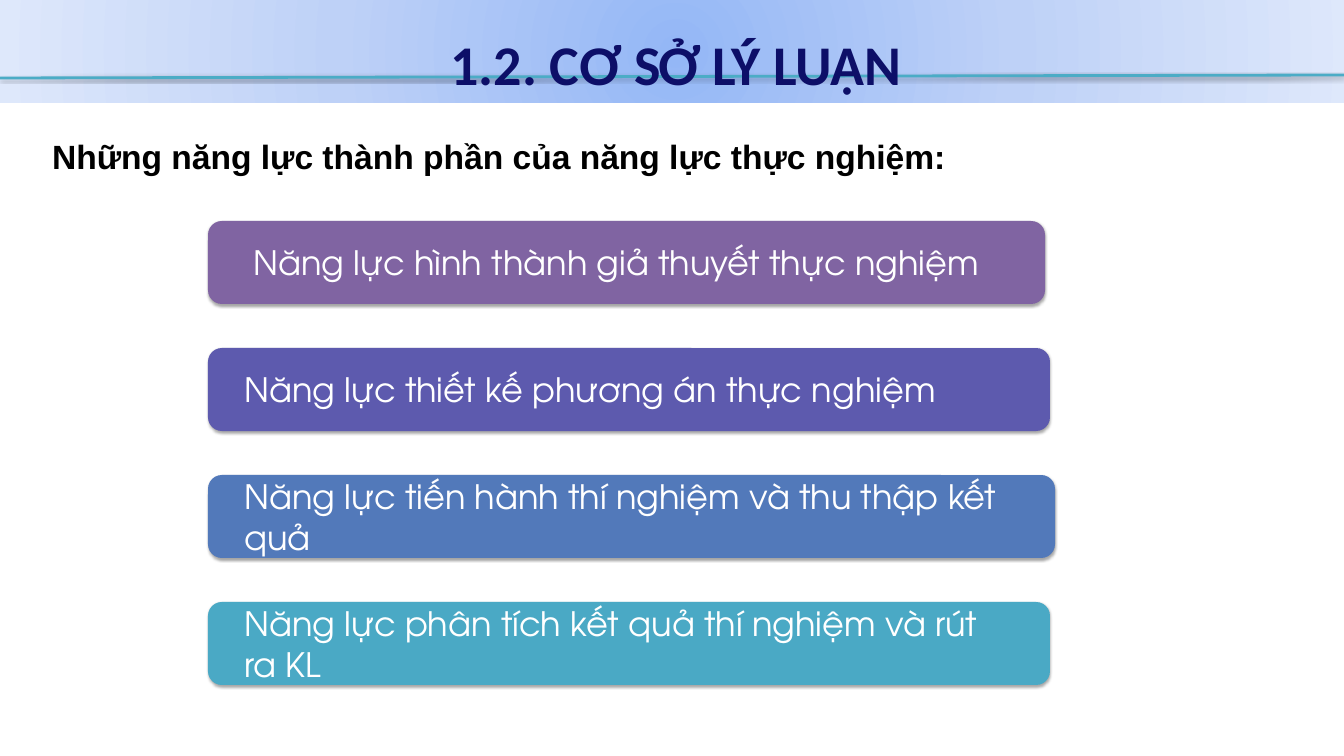
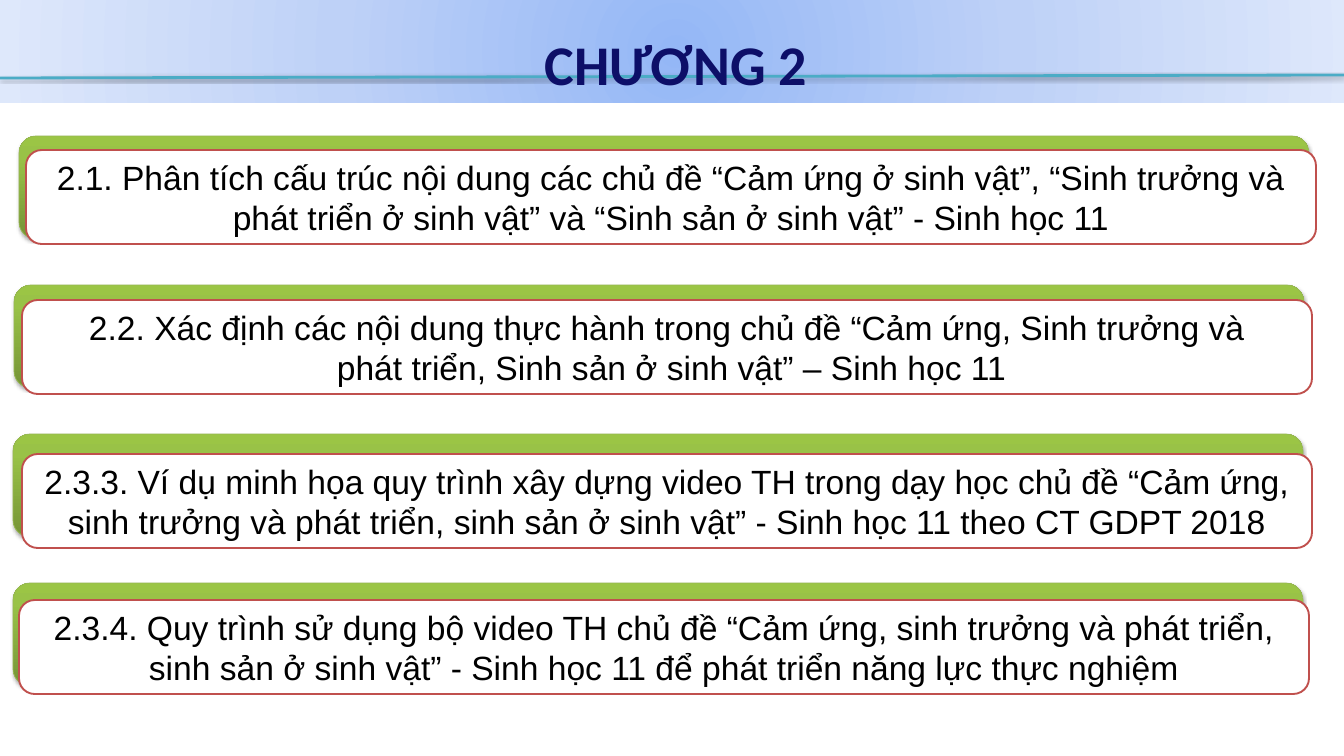
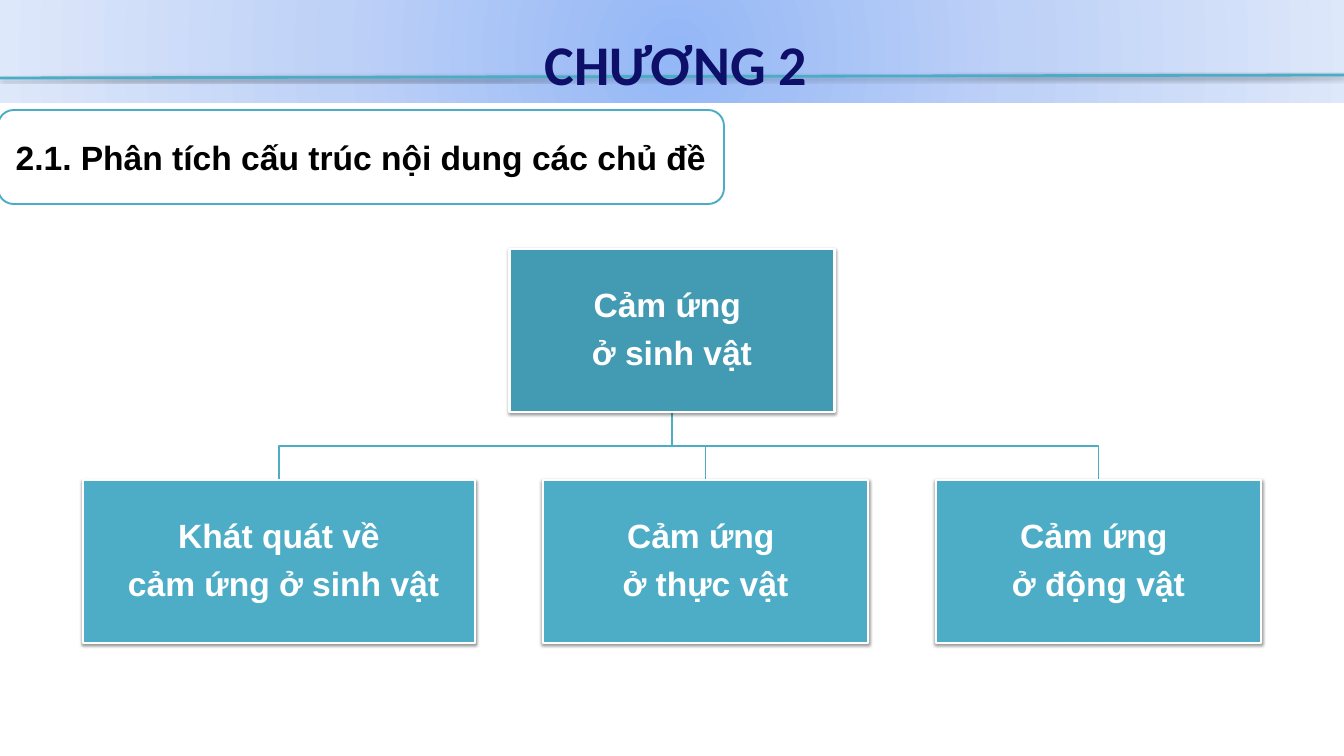
from lxml.etree import SubElement
from pptx import Presentation
from pptx.dml.color import RGBColor
from pptx.enum.shapes import MSO_CONNECTOR, MSO_SHAPE
from pptx.enum.text import MSO_ANCHOR, MSO_AUTO_SIZE, PP_ALIGN
from pptx.oxml.ns import qn
from pptx.util import Emu, Pt

W, H = 1344, 756
EMU_PER_PX = 914400 / 67.2

C = {
    "white": "FFFFFF", "black": "000000", "title": "0D0F68",
    "rule": "4BACC6", "root": "429BB2", "node": "4DADC7",
    "card_line": "C0504D", "back_line": "97B853",
}
BAND_STOPS = [(0, "94B7F6"), (50, "BED1F7"), (100, "DEE8FB")]
BACK_STOPS = [(0, "759336"), (80, "99C247"), (100, "9BC545")]
SOFT = {"alpha": 35, "dist": 1.8}
NODE_SHADOW = {"alpha": 38, "dist": 1.6}

THEORY_TITLE = "1.2. CƠ SỞ LÝ LUẬN"
THEORY_LEAD = "Những năng lực thành phần của năng lực thực nghiệm:"
SKILLS = [
    (" Năng lực hình thành giả thuyết thực nghiệm", 837, "8064A2"),
    ("Năng lực thiết kế phương án thực nghiệm", 842, "5D5AAE"),
    ("Năng lực tiến hành thí nghiệm và thu thập kết quả", 847, "5279BA"),
    ("Năng lực phân tích kết quả thí nghiệm và rút ra KL", 842, "4AA9C5"),
]

CHAPTER_TITLE = "CHƯƠNG 2"
SECTIONS = [
    (19, 26, 150, ["2.1. Phân tích cấu trúc nội dung các chủ đề “Cảm ứng ở sinh vật”, “Sinh trưởng và "
                   "phát triển ở sinh vật” và “Sinh sản ở sinh vật” - Sinh học 11"]),
    (14, 22, 300, ["2.2. Xác định các nội dung thực hành trong chủ đề “Cảm ứng, Sinh trưởng và",
                   " phát triển, Sinh sản ở sinh vật” – Sinh học 11"]),
    (13, 22, 454, ["2.3.3. Ví dụ minh họa quy trình xây dựng video TH trong dạy học chủ đề “Cảm ứng, "
                   "sinh trưởng và phát triển, sinh sản ở sinh vật” - Sinh học 11 theo CT GDPT 2018"]),
    (13, 19, 600, ["2.3.4. Quy trình sử dụng bộ video TH chủ đề “Cảm ứng, sinh trưởng và phát triển, "
                   "sinh sản ở sinh vật” - Sinh học 11 để phát triển năng lực thực nghiệm"]),
]

TOPIC_HEADING = "2.1. Phân tích cấu trúc nội dung các chủ đề"
ROOT = ["Cảm ứng ", "ở sinh vật"]
BRANCHES = [
    (392, ["Khát quát về", " cảm ứng ở sinh vật"]),
    (325, ["Cảm ứng ", "ở thực vật"]),
    (325, ["Cảm ứng ", "ở động vật"]),
]


def px(n):
    return Emu(round(n * EMU_PER_PX))


def rgb(name):
    return RGBColor.from_string(C.get(name, name))


def set_effects(sp, shadow=None):
    fx = SubElement(sp.element.spPr, qn("a:effectLst"))
    if shadow:
        sh = SubElement(fx, qn("a:outerShdw"), blurRad=str(Pt(3.1)),
                        dist=str(Pt(shadow["dist"])), dir="5400000", rotWithShape="0")
        clr = SubElement(sh, qn("a:srgbClr"), val=C["black"])
        SubElement(clr, qn("a:alpha"), val=str(shadow["alpha"] * 1000))


def set_gradient(sp, stops, angle=None):
    sp.fill.gradient()
    grad = sp.element.spPr.find(qn("a:gradFill"))
    for child in list(grad):
        grad.remove(child)
    gs_list = SubElement(grad, qn("a:gsLst"))
    for pos, color in stops:
        gs = SubElement(gs_list, qn("a:gs"), pos=str(pos * 1000))
        SubElement(gs, qn("a:srgbClr"), val=color)
    if angle is None:
        circle = SubElement(grad, qn("a:path"), path="circle")
        SubElement(circle, qn("a:fillToRect"), l="50000", t="50000", r="50000", b="50000")
    else:
        SubElement(grad, qn("a:lin"), ang=str(angle * 60000), scaled="0")


def set_line(sp, color, width):
    sp.line.color.rgb = rgb(color)
    sp.line.width = Pt(width)


def add_box(s, kind, box, fill, line=None, shadow=None, angle=None):
    sp = s.shapes.add_shape(kind, *map(px, box))
    if isinstance(fill, list):
        set_gradient(sp, fill, angle)
    else:
        sp.fill.solid()
        sp.fill.fore_color.rgb = rgb(fill)
    if line:
        set_line(sp, *line)
    else:
        sp.line.fill.background()
    set_effects(sp, shadow)
    return sp


def write(sp, lines, color="black", size=36, font="Arial", bold=False, align=PP_ALIGN.CENTER,
          anchor=MSO_ANCHOR.MIDDLE, insets=(7, 3), spacing=None, gap=None):
    tf = sp.text_frame
    tf.word_wrap = True
    tf.vertical_anchor = anchor
    tf.margin_left = tf.margin_right = px(insets[0])
    tf.margin_top = tf.margin_bottom = px(insets[1])
    for i, line in enumerate(lines):
        p = tf.paragraphs[0] if i == 0 else tf.add_paragraph()
        p.add_run().text = line
        p.alignment = align
        if spacing:
            p.line_spacing = spacing
        if gap and i:
            p.space_before = Pt(gap)
        p.font.name = font
        p.font.size = Pt(size)
        p.font.bold = bold
        p.font.color.rgb = rgb(color)


def new_slide(prs, heading):
    s = prs.slides.add_slide(prs.slide_layouts[5])
    add_box(s, MSO_SHAPE.RECTANGLE, (0, 0, 1352, 103), BAND_STOPS)
    rule = s.shapes.add_connector(MSO_CONNECTOR.STRAIGHT, px(0), px(78), px(W), px(75))
    set_line(rule, "rule", 3)
    set_effects(rule, SOFT)
    title = s.shapes.title
    title.left, title.top, title.width, title.height = map(px, (269, 3, 814, 75))
    write(title, [heading], "title", 60, "Calibri", True,
          anchor=MSO_ANCHOR.TOP, insets=(0, 0), spacing=1.4)
    title.text_frame.auto_size = MSO_AUTO_SIZE.SHAPE_TO_FIT_TEXT
    title.element.getparent().append(title.element)
    return s


def theory_slide(prs):
    s = new_slide(prs, THEORY_TITLE)
    lead = s.shapes.add_textbox(*map(px, (45, 133, 1130, 66)))
    write(lead, [THEORY_LEAD], bold=True, align=PP_ALIGN.JUSTIFY, anchor=MSO_ANCHOR.TOP)
    for i, (text, width, color) in enumerate(SKILLS):
        bar = add_box(s, MSO_SHAPE.ROUNDED_RECTANGLE, (208, 221 + 127 * i, width, 83),
                      color, shadow=SOFT)
        write(bar, [text], "white", font="TeX Gyre Adventor", align=PP_ALIGN.LEFT, insets=(32, 4))


def sections_slide(prs):
    s = new_slide(prs, CHAPTER_TITLE)
    for i, (back_x, card_x, card_y, lines) in enumerate(SECTIONS):
        add_box(s, MSO_SHAPE.ROUNDED_RECTANGLE, (back_x, 136 + 149 * i, 1290, 103),
                BACK_STOPS, ("back_line", 0.75), SOFT, 270)
        card = add_box(s, MSO_SHAPE.ROUNDED_RECTANGLE, (card_x, card_y, 1290, 94),
                       "white", ("card_line", 2))
        write(card, lines)


def add_node(s, box, lines, color):
    node = add_box(s, MSO_SHAPE.RECTANGLE, box, color, ("white", 3), NODE_SHADOW)
    write(node, lines, "white", bold=True, insets=(1, 1), spacing=0.9, gap=12.6)


def add_branch(s, points):
    start, *rest = [(px(x), px(y)) for x, y in points]
    builder = s.shapes.build_freeform(*start)
    builder.add_line_segments(rest, close=False)
    branch = builder.convert_to_shape()
    branch.fill.background()
    set_line(branch, "node", 2)
    set_effects(branch)


def tree_slide(prs):
    s = new_slide(prs, CHAPTER_TITLE)
    heading = add_box(s, MSO_SHAPE.ROUNDED_RECTANGLE, (-2, 110, 726, 94), "white", ("rule", 2))
    write(heading, [TOPIC_HEADING], bold=True)

    root_w, node_h, root_y, branch_y, gap = 325, 163, 249, 480, 68
    root_bottom = root_y + node_h
    middle = (root_bottom + branch_y) / 2
    x = 83
    for width, lines in BRANCHES:
        center = x + width / 2
        add_branch(s, [(W / 2, root_bottom), (W / 2, middle), (center, middle), (center, branch_y)])
        add_node(s, (x, branch_y, width, node_h), lines, "node")
        x += width + gap
    add_node(s, ((W - root_w) / 2, root_y, root_w, node_h), ROOT, "root")


def main():
    prs = Presentation()
    prs.slide_width, prs.slide_height = px(W), px(H)
    theory_slide(prs)
    sections_slide(prs)
    tree_slide(prs)
    prs.save("out.pptx")


if __name__ == "__main__":
    main()
